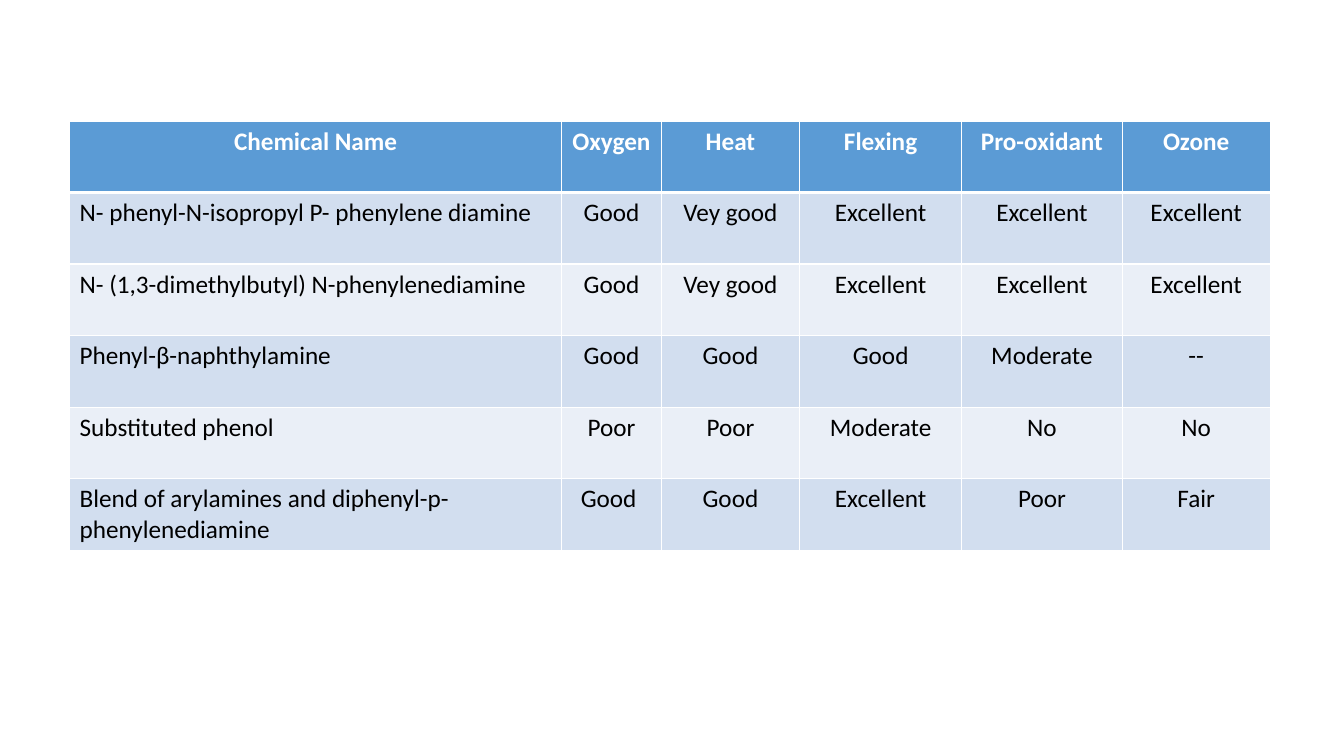
from typing import NamedTuple

from lxml.etree import SubElement
from pptx import Presentation
from pptx.dml.color import RGBColor
from pptx.enum.text import PP_ALIGN as Align
from pptx.oxml.ns import qn
from pptx.table import _Cell as Cell
from pptx.util import Inches, Pt

WHITE = RGBColor(0xFF, 0xFF, 0xFF)
BLACK = RGBColor(0, 0, 0)
BLUE = RGBColor(0x5B, 0x9B, 0xD5)
BANDS = (RGBColor(0xD2, 0xDE, 0xEF), RGBColor(0xEA, 0xEF, 0xF7))

FONT = "Calibri"
SIZE = Pt(18)
LEFT, TOP, HEIGHT = 0.69, 1.2, 0.71
WIDTHS = (4.88, 0.99, 1.37, 1.61, 1.59, 1.47)
THIN, THICK = Pt(1), Pt(3)


class Row(NamedTuple):
    name: str
    oxygen: str
    heat: str
    flexing: str
    oxidant: str
    ozone: str


class Look(NamedTuple):
    fill: RGBColor
    ink: RGBColor
    bold: bool
    above: int
    below: int


ROWS = (
    Row("Chemical Name", "Oxygen", "Heat", "Flexing", "Pro-oxidant", "Ozone"),
    Row("N- phenyl-N-isopropyl P- phenylene diamine",
        "Good", "Vey good", "Excellent", "Excellent", "Excellent"),
    Row("N- (1,3-dimethylbutyl) N-phenylenediamine",
        "Good", "Vey good", "Excellent", "Excellent", "Excellent"),
    Row("Phenyl-β-naphthylamine", "Good", "Good", "Good", "Moderate", "--"),
    Row("Substituted phenol", "Poor", "Poor", "Moderate", "No", "No"),
    Row("Blend of arylamines and diphenyl-p-phenylenediamine",
        "Good ", "Good", "Excellent", "Poor", "Fair"),
)


def get_look(index: int) -> Look:
    """Header style for the first row, alternating bands below it."""
    if index == 0:
        return Look(BLUE, WHITE, True, THIN, THICK)
    above = THICK if index == 1 else THIN
    return Look(BANDS[(index - 1) % 2], BLACK, False, above, THIN)


def add_edges(cell: Cell, look: Look) -> None:
    """Draw white borders; they must come before the fill in the XML."""
    props = cell._tc.get_or_add_tcPr()
    edges = {"L": THIN, "R": THIN, "T": look.above, "B": look.below}
    for side, width in edges.items():
        line = SubElement(props, qn(f"a:ln{side}"), w=str(width))
        solid = SubElement(line, qn("a:solidFill"))
        SubElement(solid, qn("a:srgbClr"), val=str(WHITE))


def fill_cell(cell: Cell, text: str, look: Look, align: Align) -> None:
    add_edges(cell, look)
    cell.fill.solid()
    cell.fill.fore_color.rgb = look.fill
    para = cell.text_frame.paragraphs[0]
    para.text = text
    para.alignment = align
    font = para.runs[0].font
    font.name, font.size, font.bold = FONT, SIZE, look.bold
    font.color.rgb = look.ink


def main() -> None:
    deck = Presentation()
    deck.slide_width, deck.slide_height = Inches(13.33), Inches(7.5)
    slide = deck.slides.add_slide(deck.slide_layouts[6])

    # Table grid
    count = len(ROWS)
    frame = slide.shapes.add_table(
        count, len(WIDTHS), Inches(LEFT), Inches(TOP),
        Inches(sum(WIDTHS)), Inches(HEIGHT * count))
    table = frame.table
    for column, width in zip(table.columns, WIDTHS):
        column.width = Inches(width)

    # Ratings
    for i, row in enumerate(ROWS):
        table.rows[i].height = Inches(HEIGHT)
        look = get_look(i)
        for j, text in enumerate(row):
            align = Align.LEFT if i and j == 0 else Align.CENTER
            fill_cell(table.cell(i, j), text, look, align)

    deck.save("out.pptx")


if __name__ == "__main__":
    main()
